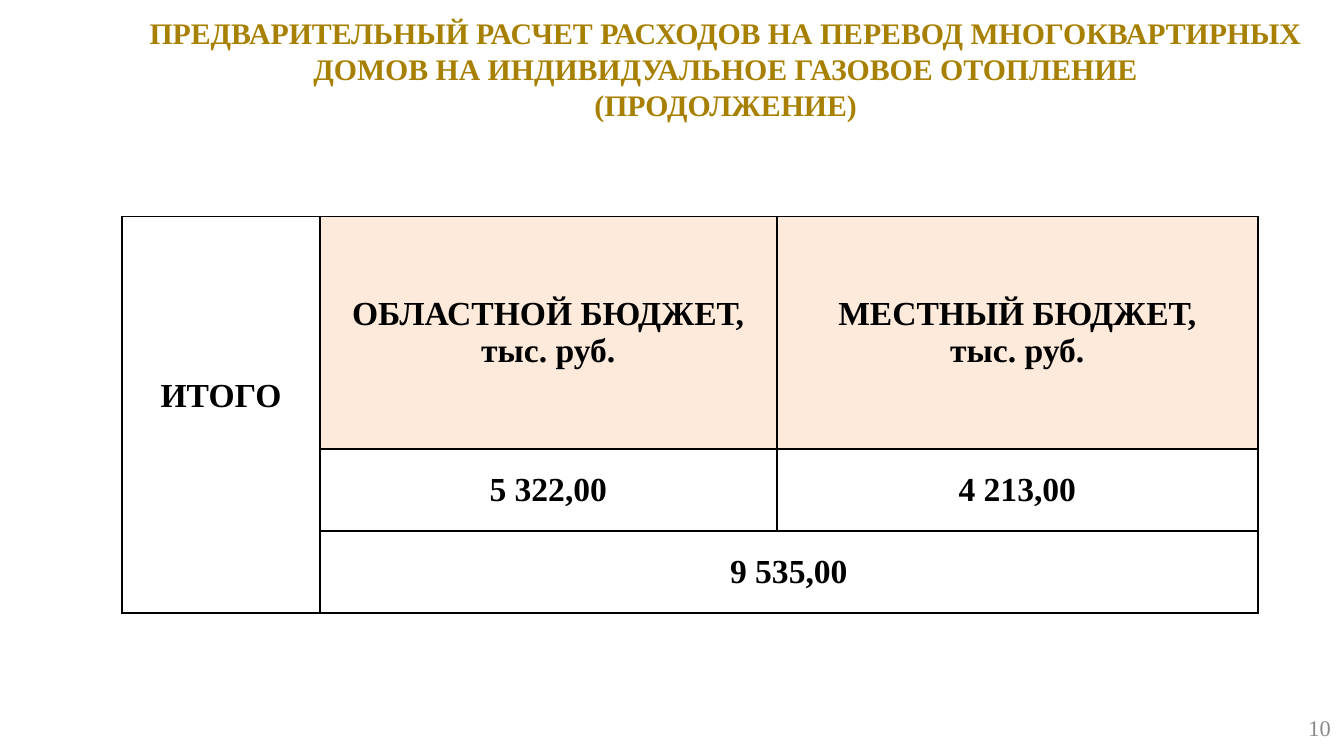
from pptx import Presentation
from pptx.dml.color import RGBColor
from pptx.enum.text import MSO_ANCHOR as Anchor, PP_ALIGN as Align
from pptx.oxml import parse_xml
from pptx.oxml.ns import nsdecls
from pptx.util import Inches, Pt

COLORS = {"title": "A88000", "text": "000000", "header": "FDEADA",
          "border": "000000", "number": "898989"}
TITLE = ["ПРЕДВАРИТЕЛЬНЫЙ РАСЧЕТ РАСХОДОВ НА ПЕРЕВОД МНОГОКВАРТИРНЫХ "
         "ДОМОВ НА ИНДИВИДУАЛЬНОЕ ГАЗОВОЕ ОТОПЛЕНИЕ", "(ПРОДОЛЖЕНИЕ)"]
COLUMNS = [1.47, 3.4, 3.58]
ROWS = [1.73, 0.61, 0.61]
CELLS = {
    (0, 0): ["ИТОГО"],
    (0, 1): ["ОБЛАСТНОЙ БЮДЖЕТ,", "тыс. руб."],
    (0, 2): ["МЕСТНЫЙ БЮДЖЕТ,", "тыс. руб."],
    (1, 1): ["5 322,00"],
    (1, 2): ["4 213,00"],
    (2, 1): ["9 535,00"],
}


def write(tf, lines, size, color, bold=True, align=Align.CENTER):
    """Fill a text frame with one formatted paragraph per line."""
    font = {"name": "Times New Roman", "size": Pt(size), "bold": bold}
    for i, line in enumerate(lines):
        p = tf.add_paragraph() if i else tf.paragraphs[0]
        p.alignment = align
        r = p.add_run()
        r.text = line
        for name, value in font.items():
            setattr(r.font, name, value)
        r.font.color.rgb = RGBColor.from_string(COLORS[color])


def add_text(s, box, lines, anchor=Anchor.TOP, **style):
    """Place a wrapping text box in the given box."""
    tf = s.shapes.add_textbox(*map(Inches, box)).text_frame
    tf.word_wrap = True
    tf.vertical_anchor = anchor
    write(tf, lines, **style)


def set_borders(cell):
    """Draw a thin solid line on each side of a cell."""
    tc_pr = cell._tc.get_or_add_tcPr()
    for i, side in enumerate(("lnL", "lnR", "lnT", "lnB")):
        tc_pr.insert(i, parse_xml(
            f'<a:{side} {nsdecls("a")} w="{Pt(1)}"><a:solidFill>'
            f'<a:srgbClr val="{COLORS["border"]}"/></a:solidFill></a:{side}>'))


def add_budget_table(s, left, top):
    """Place the table of budget totals at the given corner."""
    box = map(Inches, (left, top, sum(COLUMNS), sum(ROWS)))
    table = s.shapes.add_table(len(ROWS), len(COLUMNS), *box).table
    table.first_row = table.horz_banding = False
    for column, width in zip(table.columns, COLUMNS):
        column.width = Inches(width)
    for row, height in zip(table.rows, ROWS):
        row.height = Inches(height)
    layout = {"margin_left": Inches(0.06), "margin_right": Inches(0.06),
              "margin_top": 0, "margin_bottom": 0,
              "vertical_anchor": Anchor.MIDDLE}
    for r in range(len(ROWS)):
        for c in range(len(COLUMNS)):
            cell = table.cell(r, c)
            for name, value in layout.items():
                setattr(cell, name, value)
            if r == 0 and c > 0:
                cell.fill.solid()
                cell.fill.fore_color.rgb = RGBColor.from_string(COLORS["header"])
            else:
                cell.fill.background()
            set_borders(cell)
            if (r, c) in CELLS:
                write(cell.text_frame, CELLS[r, c], 18, "text")
    table.cell(0, 0).margin_bottom = Inches(0.28)
    table.cell(0, 0).merge(table.cell(2, 0))
    table.cell(2, 1).merge(table.cell(2, 2))


def main():
    """Build and save the slide."""
    prs = Presentation()
    prs.slide_width = Inches(10)
    prs.slide_height = prs.slide_width * 9 // 16
    s = prs.slides.add_slide(prs.slide_layouts[6])
    add_text(s, (7.67, 5.22, 2.33, 0.39), ["10"], Anchor.MIDDLE,
             size=12, color="number", bold=False, align=Align.RIGHT)
    add_text(s, (0.91, 0.06, 8.98, 0.77), TITLE, size=16, color="title")
    add_budget_table(s, 0.91, 1.61)
    prs.save("out.pptx")


if __name__ == "__main__":
    main()
